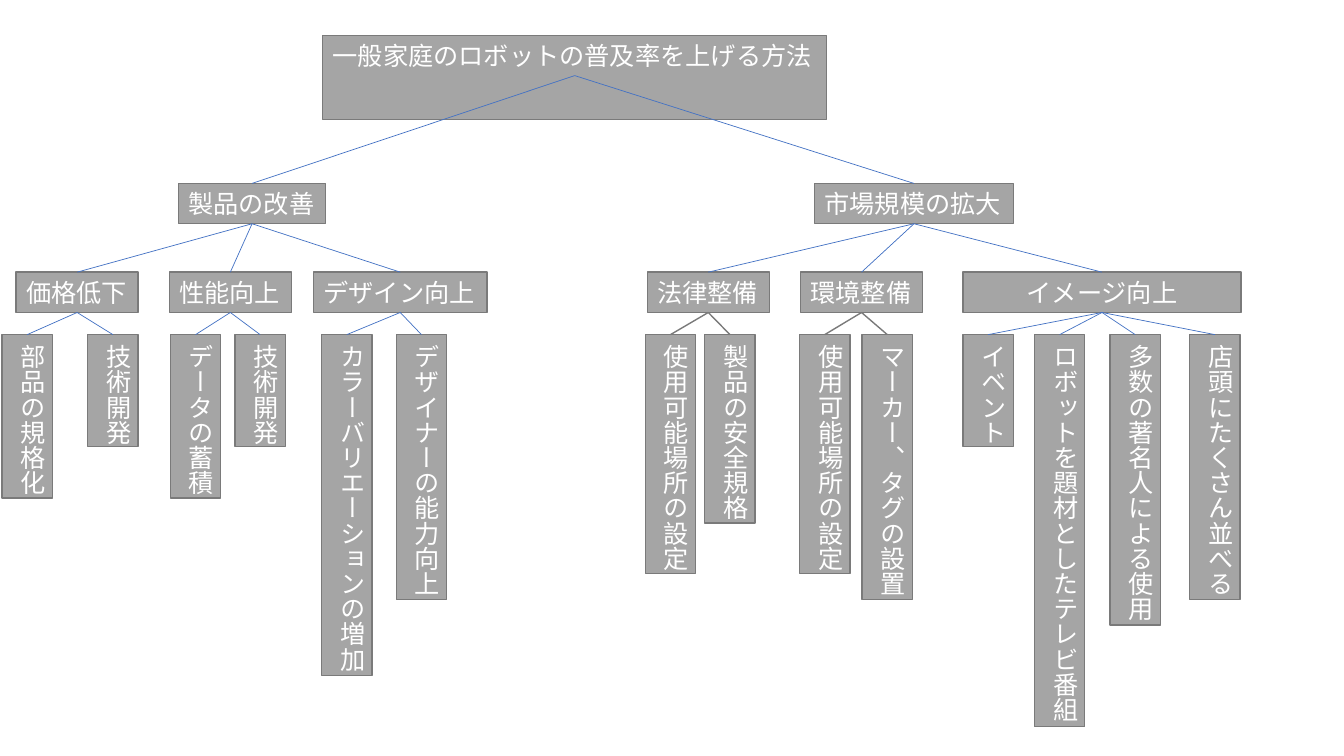
import pptx
import pptx.dml.color
import pptx.enum.shapes
import pptx.enum.text
import pptx.oxml.ns
import pptx.util
import lxml.etree

EMU_PER_PX = 9144
BOX_FILL, BOX_LINE, TEXT_COLOUR, LINK_BLUE = "A5A5A5", "7A7A7A", "FFFFFF", "4472C4"
BLUE_LINK, GREY_LINK = (LINK_BLUE, 0.5), (BOX_LINE, 1)
CHARACTER, BOX_HEIGHT, LEAF_WIDTH = 25.26, 40, 50
GROUP_DROP, LEAF_DROP = 88, 62

GOAL = "一般家庭のロボットの普及率を上げる方法"
BRANCHES = [
    (177, 182, "製品の改善", [
        (-161, "価格低下", None, BLUE_LINK, [(-14, "部品の規格化"), (71, "技術開発")]),
        (-9, "性能向上", None, BLUE_LINK, [(1, "データの蓄積"), (65, "技術開発")]),
        (134, "デザイン向上", None, BLUE_LINK,
         [(8, "カラーバリエーションの増加"), (82, "デザイナーの能力向上")]),
    ]),
    (808, 182, "市場規模の拡大", [
        (-166, "法律整備", None, GREY_LINK, [(-2, "使用可能場所の設定"), (57, "製品の安全規格")]),
        (-14, "環境整備", None, GREY_LINK, [(-1, "使用可能場所の設定"), (61, "マーカー、タグの設置")]),
        (147, "イメージ向上", 276, BLUE_LINK,
         [(0, "イベント"), (71, "ロボットを題材としたテレビ番組"),
          (146, "多数の著名人による使用"), (225, "店頭にたくさん並べる")]),
    ]),
]


def px(length):
    """Turn pixels into EMU."""
    return pptx.util.Emu(round(length * EMU_PER_PX))


def colour(code):
    """Turn a hex string into a colour."""
    return pptx.dml.color.RGBColor.from_string(code)


def text_length(label, padding):
    """Give the length of a box that fits its label on one line."""
    return round(CHARACTER * len(label) + padding)


def format_box(box, label, wrap=False, centred=False):
    """Fill and outline a box and write its label."""
    box.fill.solid()
    box.fill.fore_color.rgb = colour(BOX_FILL)
    box.line.color.rgb = colour(BOX_LINE)
    box.line.width = pptx.util.Pt(1)
    frame = box.text_frame
    frame.word_wrap = wrap
    frame.auto_size = pptx.enum.text.MSO_AUTO_SIZE.SHAPE_TO_FIT_TEXT
    frame.vertical_anchor = pptx.enum.text.MSO_ANCHOR.TOP
    para = frame.paragraphs[0]
    alignment = pptx.enum.text.PP_ALIGN
    para.alignment = alignment.CENTER if centred else alignment.LEFT
    span = para.add_run()
    span.text = label
    span.font.name = "Calibri"
    span.font.size = pptx.util.Pt(18)
    span.font.color.rgb = colour(TEXT_COLOUR)


def add_label(page, left, top, label, width=None):
    """Add a horizontal box, centred when its width is given."""
    fixed = width is not None
    box = page.shapes.add_textbox(
        px(left), px(top), px(width or text_length(label, 20)), px(BOX_HEIGHT))
    format_box(box, label, wrap=fixed, centred=fixed)
    return box


def add_leaf(page, left, top, label):
    """Add a box with vertical text."""
    box = page.shapes.add_textbox(
        px(left), px(top), px(LEAF_WIDTH), px(text_length(label, 10)))
    format_box(box, label)
    box.text_frame._txBody.bodyPr.set("vert", "eaVert")
    return box


def link(page, parent, child, style):
    """Join the bottom of a parent to the top of a child."""
    line = page.shapes.add_connector(
        pptx.enum.shapes.MSO_CONNECTOR.STRAIGHT, 0, 0, 0, 0)
    line.begin_connect(parent, 2)
    line.end_connect(child, 0)
    line_colour, weight = style
    line.line.color.rgb = colour(line_colour)
    line.line.width = pptx.util.Pt(weight)
    lxml.etree.SubElement(line._element.spPr, pptx.oxml.ns.qn("a:effectLst"))


def add_goal(page, left, top):
    """Place the title at the root of the tree."""
    title = page.shapes.title
    title.left, title.top = px(left), px(top)
    title.width, title.height = px(text_length(GOAL, 20)), px(BOX_HEIGHT)
    format_box(title, GOAL)
    return title


def add_group(page, parent, left, top, label, width, style, leaves):
    """Add a group below its branch, with its leaves."""
    group = add_label(page, left, top, label, width)
    link(page, parent, group, BLUE_LINK)
    for offset, leaf_label in leaves:
        leaf = add_leaf(page, left + offset, top + LEAF_DROP, leaf_label)
        link(page, group, leaf, style)


def add_branch(page, goal, left, top, label, groups):
    """Add a branch below the goal, with its groups."""
    branch = add_label(page, left, top, label)
    link(page, goal, branch, BLUE_LINK)
    for offset, *group in groups:
        add_group(page, branch, left + offset, top + GROUP_DROP, *group)


def main():
    """Build the logic tree slide."""
    deck = pptx.Presentation()
    deck.slide_width, deck.slide_height = px(1333), px(750)
    page = deck.slides.add_slide(deck.slide_layouts.get_by_name("Title Only"))
    goal = add_goal(page, 320, 35)
    for branch in BRANCHES:
        add_branch(page, goal, *branch)
    deck.save("out.pptx")


if __name__ == "__main__":
    main()
